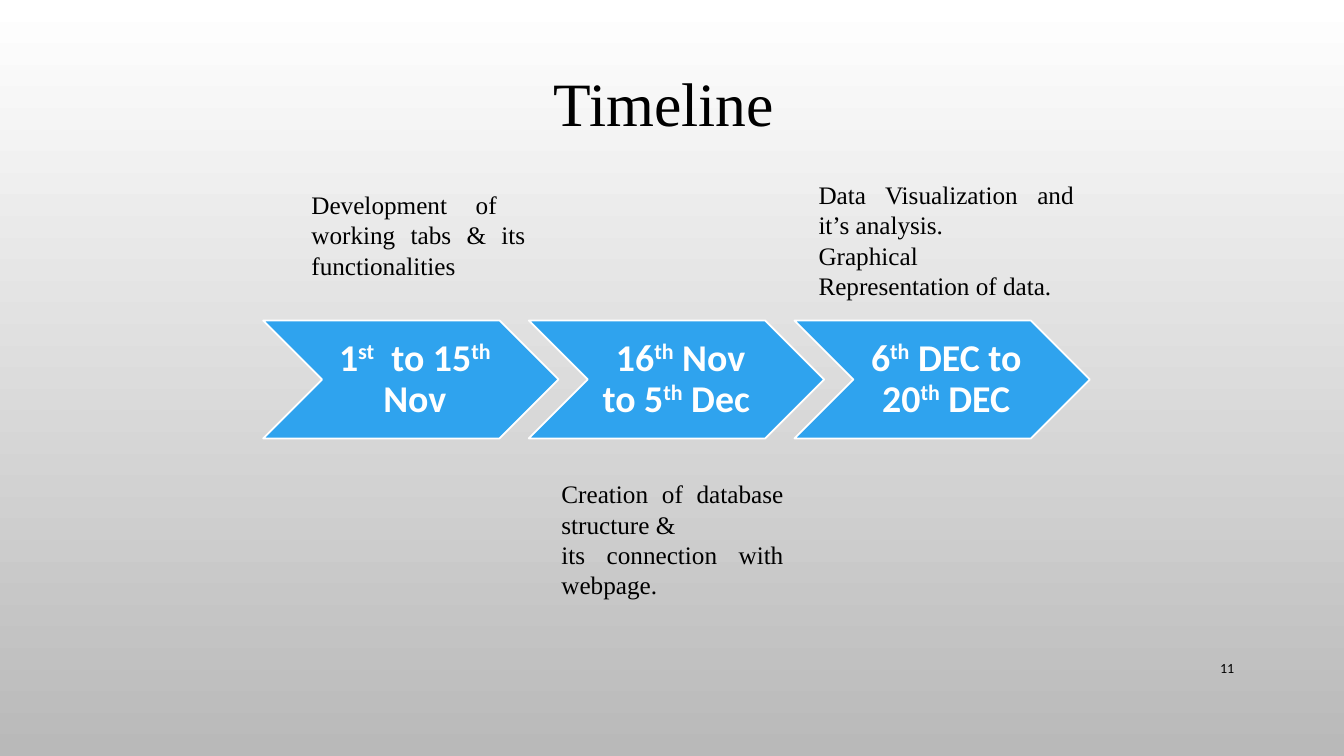
from pptx import Presentation
from pptx import util as u
from pptx.dml.color import RGBColor
from pptx.enum import shapes, text

SERIF, SANS = "Times New Roman", "Calibri"
BLACK, WHITE, BLUE, GREY = "000000", "FFFFFF", "2FA3EE", "B9B9B9"
ALIGN, ANCHOR = text.PP_ALIGN, text.MSO_ANCHOR

# Text between carets is superscript
PERIODS = ["1^st^  to 15^th^ Nov", "16^th^ Nov to 5^th^ Dec ", "6^th^ DEC to 20^th^ DEC"]
TASKS = [
    ((2.99, 1.83, 2.32, 1.1), ["Development of  working tabs & its functionalities"]),
    ((5.47, 4.7, 2.4, 1.31), ["Creation of database structure & ",
                              "its connection with webpage."]),
    ((8.02, 1.73, 2.73, 1.31), ["Data Visualization and it’s analysis.",
                                "Graphical Representation of data."]),
]
ROW_LEFT, ROW_TOP, STEP = 2.61, 3.18, 2.635
CHEVRON_W, CHEVRON_H = 2.93, 1.17
NOTCH = CHEVRON_H / 2


def color(value):
    return RGBColor.from_string(value)


def inches(box):
    return [u.Inches(v) for v in box]


def add_text(s, box, lines, size=18, font=SERIF, fill=BLACK, bold=False,
             align=ALIGN.JUSTIFY, anchor=ANCHOR.TOP, spacing=None,
             insets=(0.1, 0.05, 0.1, 0.05)):
    tf = s.shapes.add_textbox(*inches(box)).text_frame
    tf.word_wrap = True
    tf.vertical_anchor = anchor
    tf.margin_left, tf.margin_top, tf.margin_right, tf.margin_bottom = inches(insets)
    for i, line in enumerate(lines):
        p = tf.add_paragraph() if i else tf.paragraphs[0]
        p.alignment, p.line_spacing = align, spacing
        for j, part in enumerate(line.split("^")):
            r = p.add_run()
            r.text = part
            r.font.name, r.font.size, r.font.bold = font, u.Pt(size), bold
            r.font.color.rgb = color(fill)
            if j % 2:
                r._r.get_or_add_rPr().set("baseline", "30000")


def add_period(s, left, label):
    sp = s.shapes.add_shape(shapes.MSO_SHAPE.CHEVRON,
                            *inches((left, ROW_TOP, CHEVRON_W, CHEVRON_H)))
    sp.shadow.inherit = False
    sp.fill.solid()
    sp.fill.fore_color.rgb = color(BLUE)
    sp.line.color.rgb = color(WHITE)
    sp.line.width = u.Pt(1.25)
    add_text(s, (left + NOTCH, ROW_TOP, CHEVRON_W - 2 * NOTCH, CHEVRON_H), [label],
             size=27, font=SANS, fill=WHITE, bold=True, align=ALIGN.CENTER,
             anchor=ANCHOR.MIDDLE, spacing=0.9, insets=(0.12, 0.04, 0.04, 0.04))


def set_background(s):
    fill = s.background.fill
    fill.gradient()
    fill.gradient_angle = 270
    for stop, position, value in zip(fill.gradient_stops, (0, 1), (WHITE, GREY)):
        stop.position, stop.color.rgb = position, color(value)


def main():
    prs = Presentation()
    prs.slide_width, prs.slide_height = inches((13.33, 7.5))
    s = prs.slides.add_slide(prs.slide_layouts[6])
    set_background(s)
    add_text(s, (3.02, 0.59, 7.13, 0.84), ["Timeline"], size=44, align=ALIGN.CENTER)
    for i, label in enumerate(PERIODS):
        add_period(s, ROW_LEFT + i * STEP, label)
    for box, lines in TASKS:
        add_text(s, box, lines)
    add_text(s, (11.5, 6.43, 0.84, 0.4), ["11"], size=10, font=SANS,
             align=ALIGN.RIGHT, anchor=ANCHOR.MIDDLE)
    prs.save("out.pptx")


if __name__ == "__main__":
    main()
